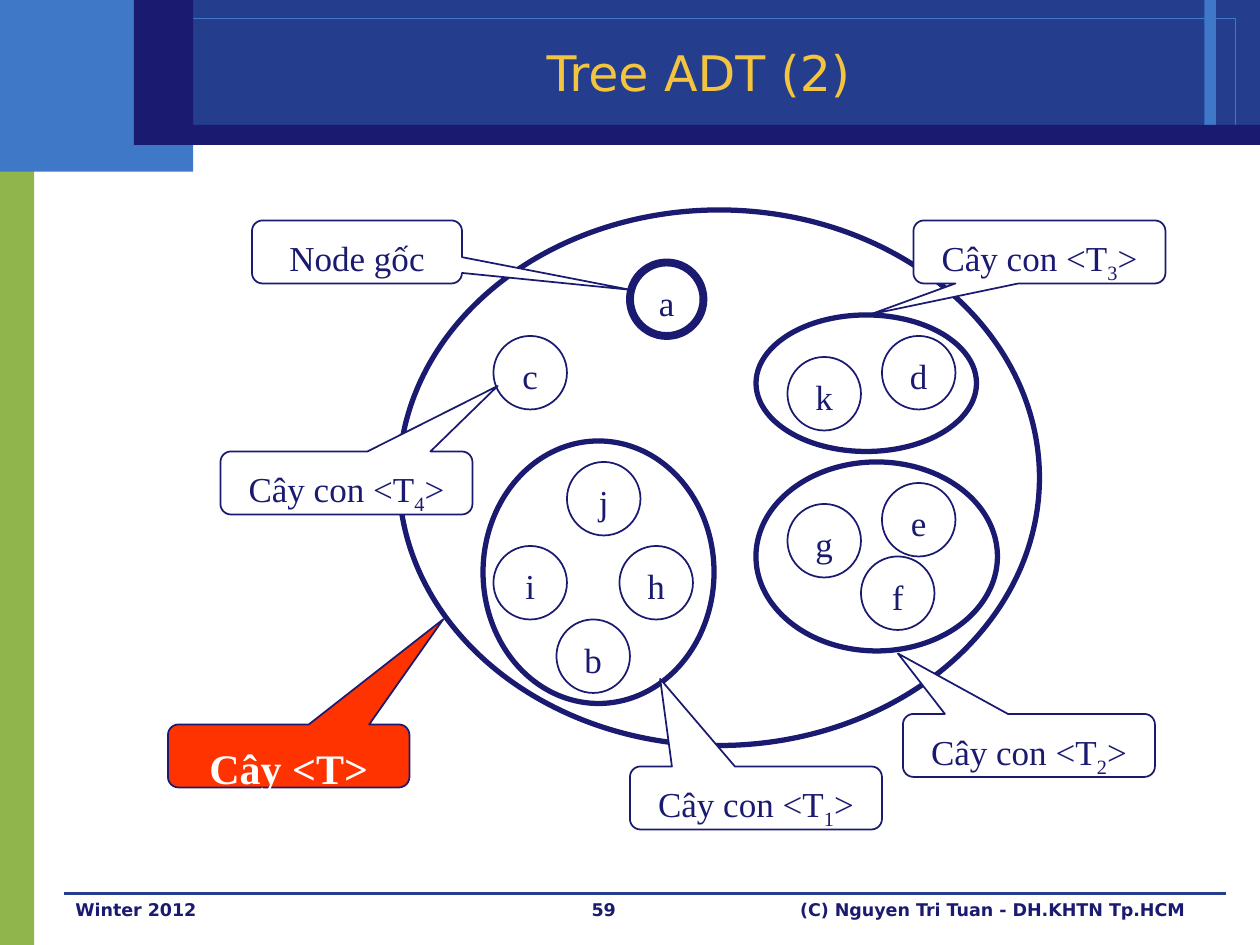
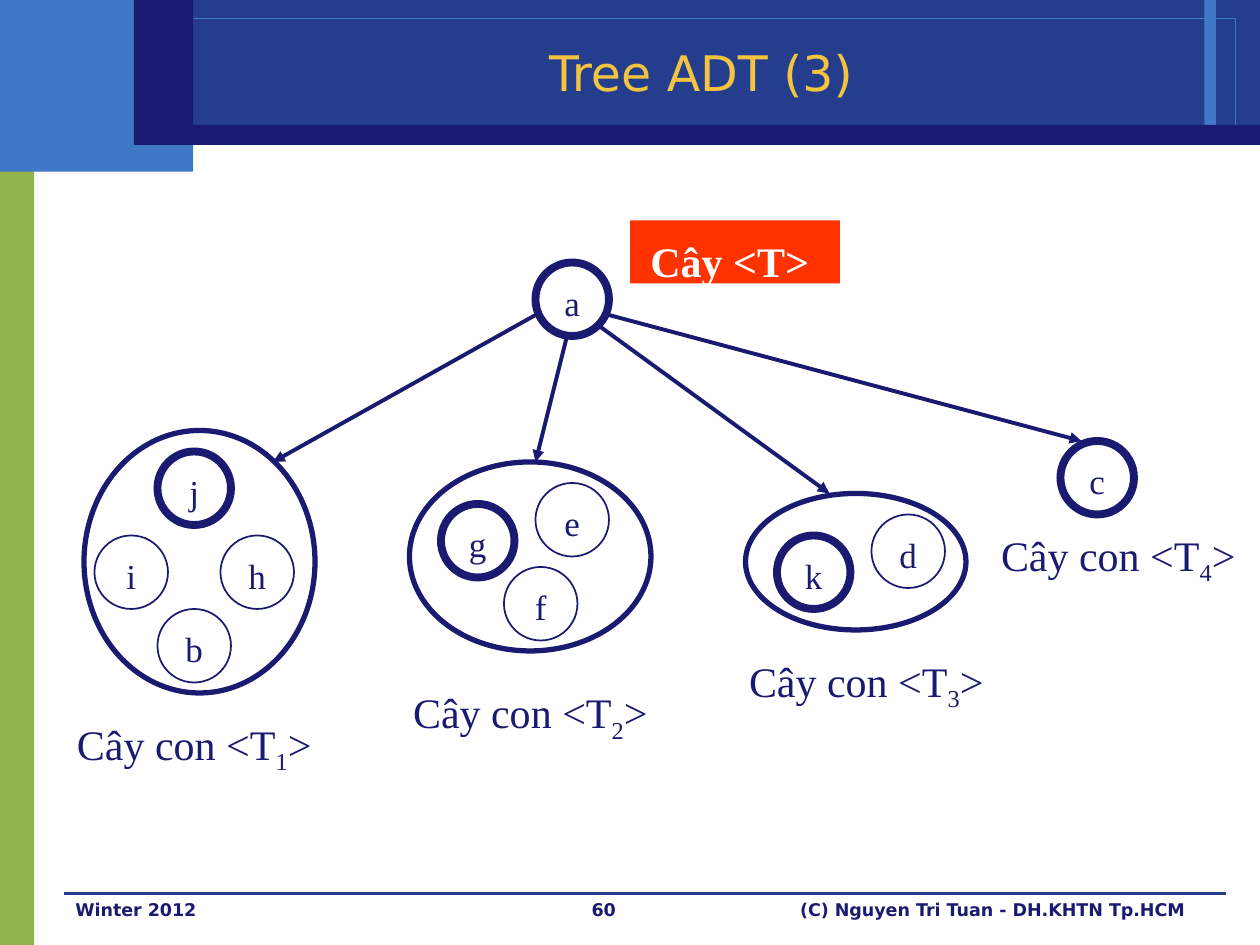
import dataclasses
import typing

import pptx
import pptx.dml.color
import pptx.enum.shapes
import pptx.enum.text
import pptx.oxml.ns
import pptx.util
from lxml import etree

COLS, ROWS = 120, 90
WIDE, HIGH = pptx.util.Inches(10), pptx.util.Inches(7.5)
NODE = 7
SANS, SERIF = "DejaVu Sans", "Times New Roman"
HEX = {
    "white": "FFFFFF", "navy": "1A1A70", "blue": "243D8C", "sky": "3E78C6",
    "green": "90B54D", "gold": "F3C43F", "red": "FF3300",
}
KIND = pptx.enum.shapes.MSO_SHAPE
ALIGN = pptx.enum.text.PP_ALIGN
ANCHOR = pptx.enum.text.MSO_ANCHOR


@dataclasses.dataclass
class Box:
    col: float
    row: float
    wide: float
    high: float

    def place(self) -> tuple[int, int, int, int]:
        return (across(self.col), down(self.row), across(self.wide), down(self.high))


@dataclasses.dataclass
class Band:
    box: Box
    fill: str | None
    line: str | None = None


@dataclasses.dataclass
class Node:
    name: str
    col: float
    row: float
    root: bool = False


@dataclasses.dataclass
class Label:
    """Words in a box; those made of digits are set as subscripts."""
    box: Box
    words: list[str]
    tip: tuple[float, float] | None = None
    size: int = 20
    ink: str = "navy"
    fill: str | None = "white"
    bold: bool = False


@dataclasses.dataclass
class Arrow:
    start: tuple[float, float]
    end: tuple[float, float]


BANDS = [
    Band(Box(0, 12.8, 3.25, 77.2), "green"),
    Band(Box(0, 0, 18.4, 16.35), "sky"),
    Band(Box(18.4, 0, 101.6, 13.8), "blue"),
    Band(Box(114.7, 0, 1.1, 12), "sky"),
    Band(Box(2.4, 1.75, 115.3, 10.2), None, "sky"),
    Band(Box(15.6, 11.9, 104.4, 1.9), "navy"),
    Band(Box(12.75, 0, 5.65, 13.8), "navy"),
]


def across(cols: float) -> int:
    return round(WIDE * cols / COLS)


def down(rows: float) -> int:
    return round(HIGH * rows / ROWS)


def shade(name: str) -> pptx.dml.color.RGBColor:
    return pptx.dml.color.RGBColor.from_string(HEX[name])


def draw(slide, kind, box: Box, fill: str | None, line: str | None = None,
         width: float = 0):
    shape = slide.shapes.add_shape(kind, *box.place())
    shape.shadow.inherit = False
    if fill:
        shape.fill.solid()
        shape.fill.fore_color.rgb = shade(fill)
    else:
        shape.fill.background()
    if line:
        shape.line.color.rgb = shade(line)
        shape.line.width = pptx.util.Pt(width)
    else:
        shape.line.fill.background()
    return shape


def link(slide, start: tuple[float, float], end: tuple[float, float],
         ink: str, width: float, head: bool = False) -> None:
    line = slide.shapes.add_connector(
        pptx.enum.shapes.MSO_CONNECTOR.STRAIGHT,
        across(start[0]), down(start[1]), across(end[0]), down(end[1]))
    line.line.color.rgb = shade(ink)
    line.line.width = pptx.util.Pt(width)
    if head:
        tail = etree.SubElement(line.line._get_or_add_ln(),
                                pptx.oxml.ns.qn("a:tailEnd"))
        tail.set("type", "triangle")
    etree.SubElement(line.element.spPr, pptx.oxml.ns.qn("a:effectLst"))


def write(shape, words: list[str], face: str, size: int, ink: str,
          bold: bool = False, align=ALIGN.CENTER) -> None:
    para = shape.text_frame.paragraphs[0]
    para.alignment = align
    for word in words:
        run = para.add_run()
        run.text = word
        run.font.name = face
        run.font.size = pptx.util.Pt(size)
        run.font.bold = bold
        run.font.color.rgb = shade(ink)
        if word.isdigit() and len(words) > 1:
            run._r.get_or_add_rPr().set("baseline", "-25000")


def draw_node(slide, node: Node) -> None:
    shape = draw(slide, KIND.OVAL, Box(node.col, node.row, NODE, NODE),
                 "white", "navy", 4.5 if node.root else 1)
    frame = shape.text_frame
    frame.word_wrap = False
    frame.vertical_anchor = ANCHOR.MIDDLE
    frame.margin_top = pptx.util.Inches(0.1)
    write(shape, [node.name], SERIF, 20, "navy")


def draw_label(slide, label: Label) -> None:
    if label.tip:
        shape = draw(slide, KIND.ROUNDED_RECTANGULAR_CALLOUT, label.box,
                     label.fill, "navy", 1)
        shape.adjustments[0], shape.adjustments[1] = label.tip
    else:
        shape = draw(slide, KIND.RECTANGLE, label.box, label.fill)
    frame = shape.text_frame
    frame.word_wrap = True
    frame.vertical_anchor = ANCHOR.TOP
    frame.margin_top = pptx.util.Inches(0.05) + pptx.util.Pt(label.size * 0.2)
    write(shape, label.words, SERIF, label.size, label.ink, label.bold)


def subtree(rank: int, end: str = ">") -> list[str]:
    return ["Cây con <T", str(rank), end]


def start_slide(deck, title: str, page: int, box: Box):
    """Add a slide with its bands, footer and title."""
    slide = deck.slides.add_slide(deck.slide_layouts[5])
    for band in BANDS:
        draw(slide, KIND.RECTANGLE, band.box, band.fill, band.line)
    link(slide, (6.1, 85.1), (116.75, 85.1), "blue", 0)
    for col, wide, text, align in (
        (48, 19, str(page), ALIGN.CENTER),
        (6, 28, "Winter 2012", ALIGN.LEFT),
        (71, 43, "(C) Nguyen Tri Tuan - DH.KHTN Tp.HCM", ALIGN.RIGHT),
    ):
        foot = slide.shapes.add_textbox(*Box(col, 85, wide, 5).place())
        foot.text_frame.word_wrap = True
        write(foot, [text], SANS, 10, "navy", True, align)
    head = slide.shapes.title
    head.element.getparent().append(head.element)
    head.left, head.top, head.width, head.height = box.place()
    head.text_frame.auto_size = pptx.enum.text.MSO_AUTO_SIZE.NONE
    head.text_frame.vertical_anchor = ANCHOR.MIDDLE
    write(head, [title], SANS, 28, "gold")
    return slide


def fill_slide(slide, rings: list[Box], nodes: list[Node],
               labels: list[Label], arrows: typing.Sequence[Arrow] = ()) -> None:
    for ring in rings:
        draw(slide, KIND.OVAL, ring, "white", "navy", 3)
    for node in nodes:
        draw_node(slide, node)
    for arrow in arrows:
        link(slide, arrow.start, arrow.end, "navy", 2.25, True)
    for label in labels:
        draw_label(slide, label)


def add_sets(deck) -> None:
    slide = start_slide(deck, "Tree ADT (2)", 59, Box(18, 3.1, 97, 7.45))
    rings = [Box(38, 20, 61, 51), Box(72, 30, 21, 13),
             Box(46, 42, 22, 25), Box(72, 44, 23, 18)]
    nodes = [
        Node("a", 60, 25, True), Node("b", 53, 59), Node("k", 75, 34),
        Node("i", 47, 52), Node("g", 75, 48), Node("c", 47, 32),
        Node("h", 59, 52), Node("e", 84, 46), Node("f", 82, 53),
        Node("d", 84, 32), Node("j", 54, 44),
    ]
    labels = [
        Label(Box(24, 21, 20, 6), ["Node gốc"], (1.3, 0.6)),
        Label(Box(16, 69, 23, 6), ["Cây <T>"], (0.64, -2.17), 24,
              "white", "red", True),
        Label(Box(60, 73, 24, 6), subtree(1), (-0.38, -1.89)),
        Label(Box(86, 68, 24, 6), subtree(2), (-0.52, -1.46)),
        Label(Box(87, 21, 24, 6), subtree(3), (-0.67, 0.99)),
        Label(Box(21, 43, 24, 6), subtree(4), (0.6, -1.54)),
    ]
    fill_slide(slide, rings, nodes, labels)


def add_tree(deck) -> None:
    slide = start_slide(deck, "Tree ADT (3)", 60, Box(18.5, 3.1, 96.5, 7.45))
    rings = [Box(71, 47, 21, 13), Box(8, 41, 22, 25), Box(39, 44, 23, 18)]
    nodes = [
        Node("a", 51, 25, True), Node("c", 101, 42, True),
        Node("k", 74, 51, True), Node("d", 83, 49), Node("b", 15, 58),
        Node("i", 9, 51), Node("h", 21, 51), Node("j", 15, 43, True),
        Node("g", 42, 48, True), Node("e", 51, 46), Node("f", 48, 54),
    ]
    arrows = [
        Arrow((51, 30), (26, 44)), Arrow((54, 32), (51, 44)),
        Arrow((57, 31), (79, 47)), Arrow((58, 30), (103, 42)),
    ]
    boxes = [Box(2, 67, 34, 6), Box(34, 64, 34, 6),
             Box(66, 61, 34, 6), Box(94, 49, 26, 6)]
    labels = [Label(box, subtree(rank, "> "), size=24, fill=None)
              for rank, box in enumerate(boxes, 1)]
    labels.append(Label(Box(60, 21, 20, 6), ["Cây <T> "], None, 24,
                        "white", "red", True))
    fill_slide(slide, rings, nodes, labels, arrows)


def main() -> None:
    deck = pptx.Presentation()
    deck.slide_width, deck.slide_height = WIDE, HIGH
    add_sets(deck)
    add_tree(deck)
    deck.save("out.pptx")


if __name__ == "__main__":
    main()
